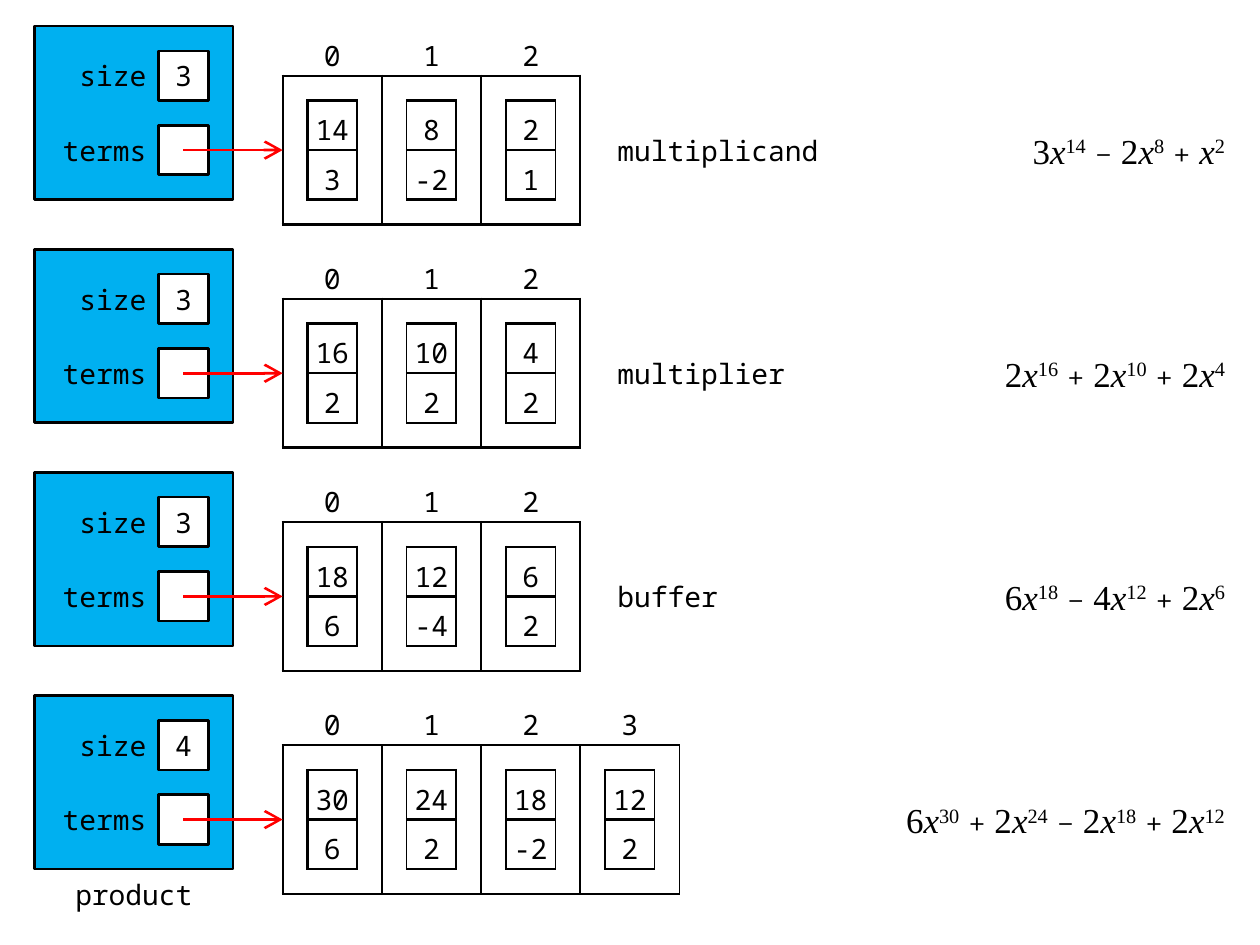
from lxml.etree import SubElement
from pptx import Presentation
from pptx.dml.color import RGBColor
from pptx.enum.shapes import MSO_CONNECTOR, MSO_SHAPE
from pptx.enum.text import MSO_ANCHOR, PP_ALIGN
from pptx.oxml import parse_xml
from pptx.oxml.ns import nsdecls, qn
from pptx.util import Pt

UNIT = 14.17
LEFT, TOP = 19.84, 14.9
PLAIN_TABLE = "{2D5ABB26-0587-4C30-8999-92F81FD0307C}"


def color(hex_string):
    return RGBColor.from_string(hex_string)


def write(holder, text, align, inset=0):
    frame = holder.text_frame
    frame.word_wrap = True
    frame.vertical_anchor = MSO_ANCHOR.MIDDLE
    frame.margin_left = 0 if align == PP_ALIGN.RIGHT else Pt(inset)
    frame.margin_right = Pt(inset)
    frame.margin_top = frame.margin_bottom = 0
    paragraph = frame.paragraphs[0]
    paragraph.text = text
    paragraph.alignment = align
    paragraph.font.name = "Noto Sans Mono"
    paragraph.font.size = Pt(16)
    paragraph.font.color.rgb = color("000000")
    return paragraph


polynomials = [
    ("multiplicand", 23, 4, 10, PP_ALIGN.LEFT, 9, [(14, 3), (8, -2), (2, 1)]),
    ("multiplier", 23, 4, 8, PP_ALIGN.LEFT, 10, [(16, 2), (10, 2), (4, 2)]),
    ("buffer", 23, 4, 6, PP_ALIGN.LEFT, 11, [(18, 6), (12, -4), (6, 2)]),
    ("product", 1, 7, 6, PP_ALIGN.CENTER, 15, [(30, 6), (24, 2), (18, -2), (12, 2)]),
]

prs = Presentation()
prs.slide_width, prs.slide_height = Pt(720), Pt(540)
slide = prs.slides.add_slide(prs.slide_layouts[6])
shapes = slide.shapes

for row, (name, name_x, name_y, name_width, name_align, formula_width, terms) in enumerate(polynomials):
    top = TOP + 9 * UNIT * row

    boxes = [(0, 0, 8, 7, "00B0F0", ""), (5, 1, 2, 2, "FFFFFF", str(len(terms))), (5, 4, 2, 2, "FFFFFF", "")]
    for x, y, width, height, fill, value in boxes:
        box = shapes.add_shape(MSO_SHAPE.RECTANGLE, Pt(LEFT + x * UNIT), Pt(top + y * UNIT),
                               Pt(width * UNIT), Pt(height * UNIT))
        box.shadow.inherit = False
        box.fill.solid()
        box.fill.fore_color.rgb = color(fill)
        box.line.color.rgb = color("000000")
        box.line.width = Pt(1.5)
        if value:
            write(box, value, PP_ALIGN.CENTER)

    labels = [("size", 1, 1, 4, PP_ALIGN.RIGHT), ("terms", 1, 4, 4, PP_ALIGN.RIGHT),
              (name, name_x, name_y, name_width, name_align)]
    for text, x, y, width, align in labels:
        label = shapes.add_textbox(Pt(LEFT + x * UNIT), Pt(top + y * UNIT), Pt(width * UNIT), Pt(2 * UNIT))
        write(label, text, align, 7.2)

    indices = [str(index) for index in range(len(terms))]
    grids = [(10, 0, 4, [2, 6], [indices, [""] * len(terms)], 1)]
    for index, (exponent, coefficient) in enumerate(terms):
        grids.append((11 + 4 * index, 3, 2, [2, 2], [[str(exponent)], [str(coefficient)]], 0))
    for x, y, column_width, row_heights, rows, first_bordered in grids:
        frame = shapes.add_table(len(rows), len(rows[0]), Pt(LEFT + x * UNIT), Pt(top + y * UNIT),
                                 Pt(column_width * len(rows[0]) * UNIT), Pt(sum(row_heights) * UNIT))
        table = frame.table
        table.first_row = table.horz_banding = False
        frame._element.find(".//" + qn("a:tableStyleId")).text = PLAIN_TABLE
        for column in table.columns:
            column.width = Pt(column_width * UNIT)
        for r, values in enumerate(rows):
            table.rows[r].height = Pt(row_heights[r] * UNIT)
            for c, value in enumerate(values):
                cell = table.cell(r, c)
                cell.margin_left = cell.margin_right = cell.margin_top = cell.margin_bottom = 0
                cell.vertical_anchor = MSO_ANCHOR.MIDDLE
                paragraph = write(cell, value, PP_ALIGN.CENTER)
                paragraph.line_spacing = 1.25
                if r >= first_bordered:
                    left_width = 1.5 if x + c * column_width < 12 else 1
                    for side, width in (("L", left_width), ("R", 1), ("T", 1.5), ("B", 1.5)):
                        cell._tc.get_or_add_tcPr().append(parse_xml(
                            f'<a:ln{side} {nsdecls("a")} w="{Pt(width)}"><a:solidFill>'
                            f'<a:srgbClr val="000000"/></a:solidFill></a:ln{side}>'))
                cell.fill.background()

    pointer_y = Pt(top + 5 * UNIT)
    pointer = shapes.add_connector(MSO_CONNECTOR.STRAIGHT, Pt(LEFT + 6 * UNIT), pointer_y,
                                   Pt(LEFT + 10 * UNIT), pointer_y)
    pointer.line.color.rgb = color("FF0000")
    pointer.line.width = Pt(1.5)
    SubElement(pointer.line._get_or_add_ln(), qn("a:tailEnd"), type="arrow", w="lg", len="lg")
    SubElement(pointer._element.spPr, qn("a:effectLst"))

    formula = shapes.add_textbox(Pt(LEFT + (48 - formula_width) * UNIT), Pt(top + 4 * UNIT),
                                 Pt(formula_width * UNIT), Pt(2 * UNIT))
    paragraph = write(formula, "", PP_ALIGN.RIGHT)
    pieces = []
    for index, (exponent, coefficient) in enumerate(terms):
        factor = "" if abs(coefficient) == 1 else str(abs(coefficient))
        if index:
            pieces += [(" ", "gap"), ("\u2212" if coefficient < 0 else "+", "sign")]
            factor = " " + factor
        pieces += [(factor, "factor"), ("x", "variable"), (str(exponent), "exponent")]
    for text, role in pieces:
        run = paragraph.add_run()
        run.text = text
        run.font.name = "Cambria" if role == "sign" else "Times New Roman"
        run.font.size = Pt(18 if role == "sign" else 20)
        run.font.color.rgb = color("000000")
        run.font.italic = role == "variable"
        if role == "exponent":
            run.font._element.set("baseline", "30000")

prs.save("out.pptx")
